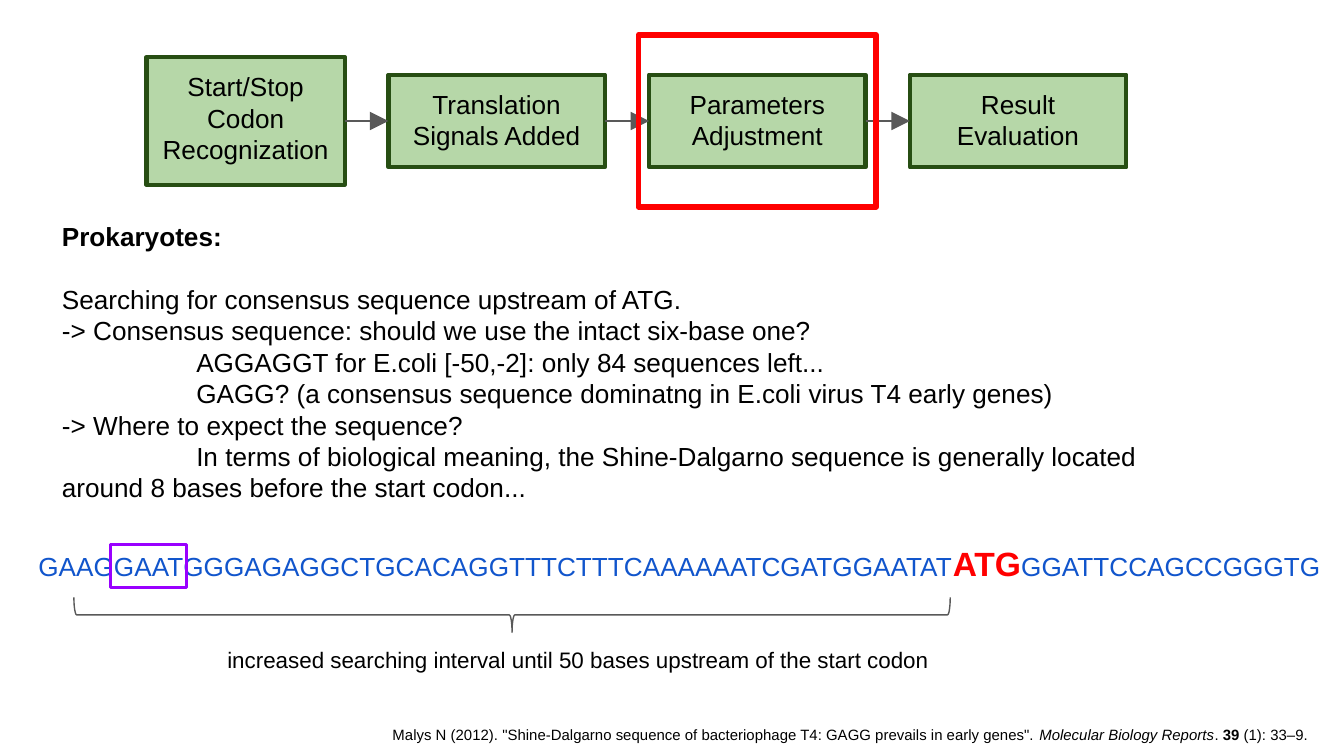
"""Build a slide on consensus sequence search upstream of the start codon."""
from dataclasses import dataclass

from lxml.etree import SubElement
from pptx import Presentation
from pptx.dml.color import RGBColor
from pptx.enum.shapes import MSO_CONNECTOR, MSO_SHAPE
from pptx.enum.text import MSO_ANCHOR, PP_ALIGN
from pptx.oxml.ns import qn
from pptx.util import Inches, Pt

BLACK = RGBColor(0x00, 0x00, 0x00)
RED = RGBColor(0xFF, 0x00, 0x00)
BLUE = RGBColor(0x11, 0x55, 0xCC)
PURPLE = RGBColor(0x99, 0x00, 0xFF)
GREY = RGBColor(0x59, 0x59, 0x59)
LIGHT_GREEN = RGBColor(0xB6, 0xD7, 0xA8)
DARK_GREEN = RGBColor(0x27, 0x4E, 0x13)

WIDTH = Inches(10)
HEIGHT = WIDTH * 9 // 16
CELL = WIDTH / 100
FIRST_STEP, PITCH, STEP_WIDTH, ARROW_ROW = 28.9, 19.4, 16.1, 9.0


@dataclass(frozen=True)
class Box:
    """Position and size in grid columns and rows."""
    col: float
    row: float
    cols: float
    rows: float

    def emu(self) -> list[int]:
        """Return left, top, width and height as lengths."""
        return [cells(v) for v in (self.col, self.row, self.cols, self.rows)]


@dataclass(frozen=True)
class Span:
    """Text with one format."""
    text: str
    size: float = 14
    color: RGBColor = BLACK
    bold: bool = False
    italic: bool = False


@dataclass(frozen=True)
class Line:
    """Paragraph of spans with a first-line indent and space after."""
    spans: tuple[Span, ...]
    indent: float = 0
    after: float = 0


@dataclass(frozen=True)
class Step:
    """Labelled stage of the workflow."""
    label: str
    box: Box


@dataclass(frozen=True)
class Outline:
    """Unfilled preset shape."""
    kind: MSO_SHAPE
    box: Box
    color: RGBColor
    weight: float


@dataclass(frozen=True)
class Note:
    """Free text block."""
    box: Box
    lines: tuple[Line, ...]
    anchor: MSO_ANCHOR = MSO_ANCHOR.TOP


def cells(n: float) -> int:
    """Convert grid cells to a length."""
    return round(n * CELL)


def add_text(shape, lines: tuple[Line, ...], anchor: MSO_ANCHOR, align: PP_ALIGN) -> None:
    """Write formatted paragraphs into a shape."""
    tf = shape.text_frame
    tf.text = "\n".join("" for _ in lines)
    tf.word_wrap = True
    tf.vertical_anchor = anchor
    tf.margin_left = tf.margin_right = tf.margin_top = tf.margin_bottom = cells(1)
    for p, line in zip(tf.paragraphs, lines):
        p.alignment = align
        p.space_after = Pt(line.after)
        if line.indent:
            p._p.get_or_add_pPr().set("indent", str(cells(line.indent)))
        for span in line.spans:
            r = p.add_run()
            r.text = span.text
            r.font.name, r.font.size = "Arial", Pt(span.size)
            r.font.bold, r.font.italic = span.bold, span.italic
            r.font.color.rgb = span.color


def add_outline(s, outline: Outline):
    """Draw an unfilled shape and return it."""
    sp = s.shapes.add_shape(outline.kind, *outline.box.emu())
    sp.shadow.inherit = False
    sp.fill.background()
    sp.line.color.rgb = outline.color
    sp.line.width = Pt(outline.weight)
    return sp


def add_step(s, step: Step) -> None:
    """Draw a workflow stage."""
    sp = add_outline(s, Outline(MSO_SHAPE.RECTANGLE, step.box, DARK_GREEN, 2.25))
    sp.fill.solid()
    sp.fill.fore_color.rgb = LIGHT_GREEN
    add_text(sp, (plain(step.label),), MSO_ANCHOR.TOP, PP_ALIGN.CENTER)


def add_arrow(s, start: Box, end: Box) -> None:
    """Draw an arrow between two neighbouring stages."""
    y = cells(ARROW_ROW)
    cxn = s.shapes.add_connector(
        MSO_CONNECTOR.STRAIGHT, cells(start.col + start.cols), y, cells(end.col), y)
    cxn.line.color.rgb = GREY
    cxn.line.width = Pt(0.75)
    ln = cxn._element.spPr.get_or_add_ln()
    SubElement(ln, qn("a:tailEnd"), type="triangle", w="lg", len="lg")
    SubElement(cxn._element.spPr, qn("a:effectLst"))


def add_note(s, note: Note) -> None:
    """Draw a text block."""
    add_text(s.shapes.add_textbox(*note.box.emu()), note.lines, note.anchor, PP_ALIGN.LEFT)


def plain(text: str, indent: float = 0, size: float = 14) -> Line:
    """Return a paragraph of plain text."""
    return Line((Span(text, size),), indent)


LABELS = ("Translation Signals Added", "Parameters Adjustment", "Result Evaluation")
STEPS = [Step("Start/Stop Codon Recognization", Box(10.9, 4.25, 14.75, 9.5))] + [
    Step(label, Box(FIRST_STEP + i * PITCH, 5.55, STEP_WIDTH, 6.9))
    for i, label in enumerate(LABELS)]

CURRENT_STEP = Outline(MSO_SHAPE.RECTANGLE, Box(47.5, 2.6, 17.7, 12.8), RED, 3)
MOTIF = Outline(MSO_SHAPE.RECTANGLE, Box(8.2, 40.5, 5.7, 3.2), PURPLE, 1.5)
INTERVAL = Outline(MSO_SHAPE.LEFT_BRACE, Box(36.8, 13.15, 2.6, 65.2), GREY, 0.75)

NOTES = (
    Note(Box(1.87, 39.35, 100, 5.1), (Line((
        Span("GAAGGAATGGGAGAGGCTGCACAGGTTTCTTTCAAAAAATCGATGGAATAT", color=BLUE),
        Span("ATG", 18, RED, bold=True),
        Span("GGATTCCAGCCGGGTG", color=BLUE))),), MSO_ANCHOR.MIDDLE),
    Note(Box(3.62, 15.42, 88.1, 18), (
        Line((Span("Prokaryotes:", bold=True),), after=16.8),
        plain("Searching for consensus sequence upstream of ATG."),
        plain("-> Consensus sequence: should we use the intact six-base one?"),
        plain("AGGAGGT for E.coli [-50,-2]: only 84 sequences left...", 10),
        plain("GAGG? (a consensus sequence dominatng in E.coli virus T4 early genes)", 10),
        plain("-> Where to expect the sequence?"),
        plain("In terms of biological meaning, the Shine-Dalgarno sequence is generally "
              "located around 8 bases before the start codon...", 10))),
    Note(Box(15.93, 47.1, 54.7, 2.6), (plain(
        "increased searching interval until 50 bases upstream of the start codon", size=12),)),
    Note(Box(28.22, 53.35, 71.4, 2.6), (Line((
        Span('Malys N (2012). "Shine-Dalgarno sequence of bacteriophage T4: '
             'GAGG prevails in early genes". ', 8),
        Span("Molecular Biology Reports", 8, italic=True),
        Span(". ", 8),
        Span("39", 8, bold=True),
        Span(" (1): 33–9.", 8))),), MSO_ANCHOR.MIDDLE),
)


def main() -> None:
    """Assemble and save the slide."""
    prs = Presentation()
    prs.slide_width, prs.slide_height = WIDTH, HEIGHT
    s = prs.slides.add_slide(prs.slide_layouts[6])
    for step in STEPS:
        add_step(s, step)
    for start, end in zip(STEPS, STEPS[1:]):
        add_arrow(s, start.box, end.box)
    add_outline(s, CURRENT_STEP)
    for note in NOTES:
        add_note(s, note)
    add_outline(s, MOTIF)
    brace = add_outline(s, INTERVAL)
    brace.rotation = 270
    brace.adjustments[0], brace.adjustments[1] = 0.08, 0.5
    prs.save("out.pptx")


if __name__ == "__main__":
    main()
